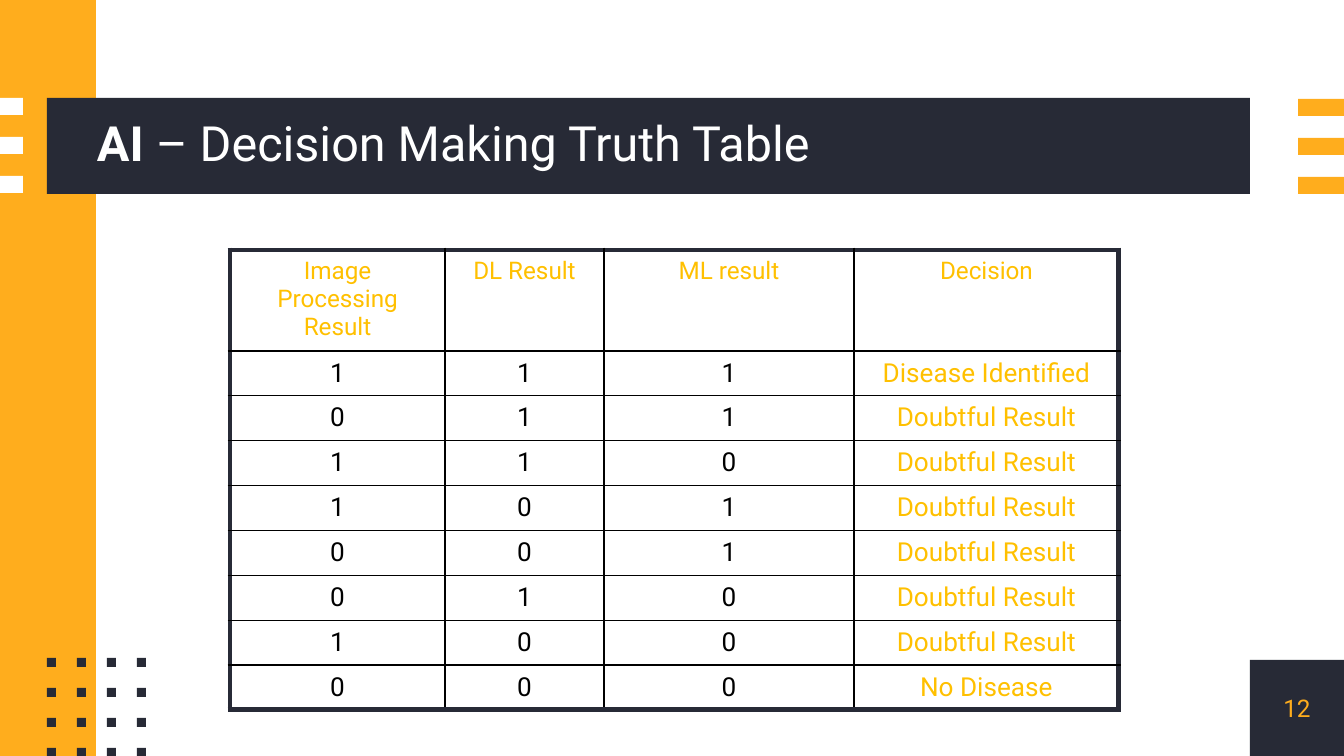
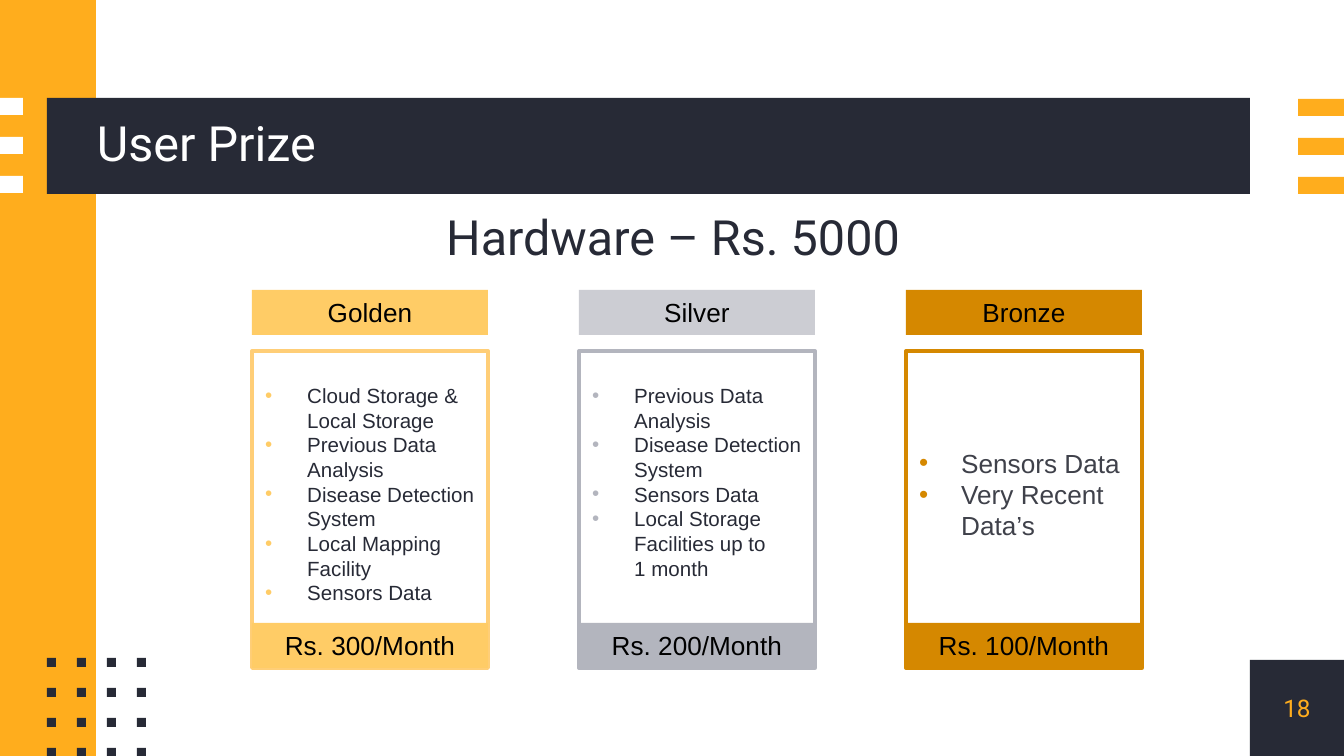
import lxml.etree
import pptx
import pptx.dml.color
import pptx.enum.shapes
import pptx.enum.text
import pptx.oxml.ns
import pptx.util

RGBColor = pptx.dml.color.RGBColor
ALIGN = pptx.enum.text.PP_ALIGN
ANCHOR = pptx.enum.text.MSO_ANCHOR

# Colours
DARK = RGBColor(0x27, 0x2A, 0x36)
ORANGE = RGBColor(0xFF, 0xAD, 0x1D)
WHITE = RGBColor(0xFF, 0xFF, 0xFF)
BLACK = RGBColor(0x00, 0x00, 0x00)
YELLOW = RGBColor(0xFF, 0xC0, 0x00)
GOLD = RGBColor(0xFF, 0xCC, 0x66)
GOLD_EDGE = RGBColor(0xFF, 0xCE, 0x77)
SILVER = RGBColor(0xB3, 0xB5, 0xBE)
SILVER_LIGHT = RGBColor(0xCC, 0xCD, 0xD3)
BRONZE = RGBColor(0xD5, 0x88, 0x00)
GREY = RGBColor(0x3F, 0x41, 0x4A)

# Fonts and sizes in px
HEADING_FONT = "Roboto"
BODY_FONT = "Arial"
EMU_PER_PX = 914400 / 134.4
SLIDE_WIDTH, SLIDE_HEIGHT = 1344, 756
TITLE_BOX = (97, 98, 1153, 96)
SUBTITLE_BOX = (97, 192, 1153, 96)
NUMBER_BOX = (1250, 660, 94, 96)
TABLE_BOX = (230, 250, 889, 413)
CARD_TOP, CARD_LEFT, CARD_PITCH = 290, 252, 327
CARD_WIDTH, CARD_HEIGHT = 236, 378
LABEL_HEIGHT = 45
LIST_TOP = 61
LIST_INDENT = 42

TRUTH_HEADINGS = ("Image Processing Result", "DL Result", "ML result", "Decision")
TRUTH_INPUTS = ("111", "011", "110", "101", "001", "010", "100", "000")
DECISIONS = {"111": "Disease Identified", "000": "No Disease"}
COLUMN_WIDTHS = (215, 159, 250, 265)
HEADING_ROW, BODY_ROW = 69, 43

PLANS = (
    dict(name="Golden", price="Rs. 300/Month", colour=GOLD, label=GOLD,
         edge=GOLD_EDGE, fill=WHITE, text=DARK, size=11,
         anchor=ANCHOR.TOP, insets=(32, 7),
         features=("Cloud Storage & Local Storage", "Previous Data Analysis",
                   "Disease Detection System", "Local Mapping Facility",
                   "Sensors Data")),
    dict(name="Silver", price="Rs. 200/Month", colour=SILVER, label=SILVER_LIGHT,
         edge=SILVER, fill=WHITE, text=DARK, size=11,
         anchor=ANCHOR.TOP, insets=(32, 7),
         features=("Previous Data Analysis", "Disease Detection System",
                   "Sensors Data", "Local Storage Facilities up to\n1 month")),
    dict(name="Bronze", price="Rs. 100/Month", colour=BRONZE, label=BRONZE,
         edge=BRONZE, fill=None, text=GREY, size=14,
         anchor=ANCHOR.MIDDLE, insets=(7, 38),
         features=("Sensors Data", "Very Recent Data’s")),
)


def px(length):
    return pptx.util.Emu(round(length * EMU_PER_PX))


def add_run(paragraph, text, font, size, colour, bold=False):
    run = paragraph.add_run()
    run.text = text
    run.font.name = font
    run.font.size = pptx.util.Pt(size)
    run.font.bold = bold
    run.font.color.rgb = colour


def add_rectangle(slide, box, fill, edge=None):
    shape = slide.shapes.add_shape(
        pptx.enum.shapes.MSO_SHAPE.RECTANGLE, *map(px, box))
    shape.shadow.inherit = False
    if fill is None:
        shape.fill.background()
    else:
        shape.fill.solid()
        shape.fill.fore_color.rgb = fill
    if edge is None:
        shape.line.fill.background()
    else:
        shape.line.color.rgb = edge
        shape.line.width = pptx.util.Pt(2)
    return shape


def add_heading(slide, box, runs, size, colour, align=ALIGN.LEFT, spacing=None):
    """Add a text box without margins; runs are (text, bold) pairs."""
    frame = slide.shapes.add_textbox(*map(px, box)).text_frame
    frame.word_wrap = True
    frame.vertical_anchor = ANCHOR.MIDDLE
    frame.margin_left = frame.margin_right = 0
    frame.margin_top = frame.margin_bottom = 0
    paragraph = frame.paragraphs[0]
    paragraph.alignment = align
    paragraph.line_spacing = spacing
    for text, bold in runs:
        add_run(paragraph, text, HEADING_FONT, size, colour, bold)


def add_frame(slide, title_runs, number):
    # Corner, side band and title bar
    add_rectangle(slide, NUMBER_BOX, DARK)
    add_rectangle(slide, (0, 0, 96, SLIDE_HEIGHT), ORANGE)
    add_rectangle(slide, (47, 98, 1203, 96), DARK)

    # Stripes on both edges
    for left, top, width, colour in ((0, 98, 23, WHITE), (1298, 99, 46, ORANGE)):
        for row in range(3):
            add_rectangle(slide, (left, top + 39 * row, width, 17), colour)

    # Dot grid
    for row in range(4):
        for column in range(4):
            add_rectangle(slide, (47 + 30 * column, 658 + 30 * row, 9, 9), DARK)

    # Title and slide number
    add_heading(slide, TITLE_BOX, title_runs, 26, WHITE, spacing=0.9)
    add_heading(slide, NUMBER_BOX, [(number, False)], 13, ORANGE, ALIGN.CENTER)


def set_border(cell, side, colour, points):
    line = lxml.etree.SubElement(
        cell._tc.get_or_add_tcPr(), pptx.oxml.ns.qn("a:ln" + side),
        w=str(pptx.util.Pt(points)))
    fill = lxml.etree.SubElement(line, pptx.oxml.ns.qn("a:solidFill"))
    lxml.etree.SubElement(fill, pptx.oxml.ns.qn("a:srgbClr"), val=str(colour))


def add_truth_table(slide, box):
    rows = [TRUTH_HEADINGS]
    rows += [(*bits, DECISIONS.get(bits, "Doubtful Result")) for bits in TRUTH_INPUTS]
    last_row, last_column = len(rows) - 1, len(COLUMN_WIDTHS) - 1
    table = slide.shapes.add_table(
        len(rows), len(COLUMN_WIDTHS), *map(px, box)).table
    table.first_row = table.horz_banding = False
    for column, width in zip(table.columns, COLUMN_WIDTHS):
        column.width = px(width)

    for row, values in enumerate(rows):
        table.rows[row].height = px(BODY_ROW if row else HEADING_ROW)
        for column, value in enumerate(values):
            cell = table.cell(row, column)
            # Thick outer border, thin inner lines
            outer_sides = {"L": column == 0, "R": column == last_column,
                           "T": row == 0, "B": row == last_row}
            for side, outer in outer_sides.items():
                set_border(cell, side, *((DARK, 3) if outer else (BLACK, 0.75)))
            cell.fill.background()
            paragraph = cell.text_frame.paragraphs[0]
            paragraph.alignment = ALIGN.CENTER
            highlighted = row == 0 or column == last_column
            add_run(paragraph, value, HEADING_FONT, 14 if row else 13,
                    YELLOW if highlighted else BLACK)


def add_bullet(paragraph, colour):
    properties = paragraph._p.get_or_add_pPr()
    properties.set("marL", str(px(LIST_INDENT)))
    properties.set("indent", str(-px(LIST_INDENT)))
    bullet_colour = lxml.etree.SubElement(properties, pptx.oxml.ns.qn("a:buClr"))
    lxml.etree.SubElement(
        bullet_colour, pptx.oxml.ns.qn("a:srgbClr"), val=str(colour))
    lxml.etree.SubElement(
        properties, pptx.oxml.ns.qn("a:buFont"), typeface=BODY_FONT)
    lxml.etree.SubElement(properties, pptx.oxml.ns.qn("a:buChar"), char="•")


def add_label(slide, box, text, fill):
    frame = add_rectangle(slide, box, fill).text_frame
    frame.word_wrap = True
    frame.vertical_anchor = ANCHOR.MIDDLE
    paragraph = frame.paragraphs[0]
    paragraph.alignment = ALIGN.CENTER
    add_run(paragraph, text, BODY_FONT, 14, BLACK)


def add_plan_card(slide, box, plan):
    left, top, width, height = box
    # Feature list
    panel = add_rectangle(
        slide, (left, top + LIST_TOP, width, height - LIST_TOP),
        plan["fill"], plan["edge"])
    frame = panel.text_frame
    frame.word_wrap = True
    frame.vertical_anchor = plan["anchor"]
    frame.margin_top, frame.margin_bottom = map(px, plan["insets"])
    for index, feature in enumerate(plan["features"]):
        paragraph = frame.add_paragraph() if index else frame.paragraphs[0]
        paragraph.alignment = ALIGN.LEFT
        add_bullet(paragraph, plan["colour"])
        for number, line in enumerate(feature.split("\n")):
            if number:
                paragraph.add_line_break()
            add_run(paragraph, line, BODY_FONT, plan["size"], plan["text"])

    # Plan name above, price at the foot
    add_label(slide, (left, top, width, LABEL_HEIGHT), plan["name"], plan["label"])
    add_label(slide, (left, top + height - LABEL_HEIGHT, width, LABEL_HEIGHT),
              plan["price"], plan["colour"])


def build_truth_table_slide(slide):
    add_frame(slide, [("AI", True), (" – Decision Making Truth Table", False)], "12")
    add_truth_table(slide, TABLE_BOX)


def build_price_slide(slide):
    add_frame(slide, [("User Prize", False)], "18")
    for index, plan in enumerate(PLANS):
        left = CARD_LEFT + CARD_PITCH * index
        add_plan_card(slide, (left, CARD_TOP, CARD_WIDTH, CARD_HEIGHT), plan)
    add_heading(slide, SUBTITLE_BOX, [("Hardware – Rs. 5000", False)],
                26, DARK, ALIGN.CENTER, 0.9)


def main():
    presentation = pptx.Presentation()
    presentation.slide_width = px(SLIDE_WIDTH)
    presentation.slide_height = px(SLIDE_HEIGHT)
    for build in (build_truth_table_slide, build_price_slide):
        build(presentation.slides.add_slide(presentation.slide_layouts[6]))
    presentation.save("out.pptx")


if __name__ == "__main__":
    main()
